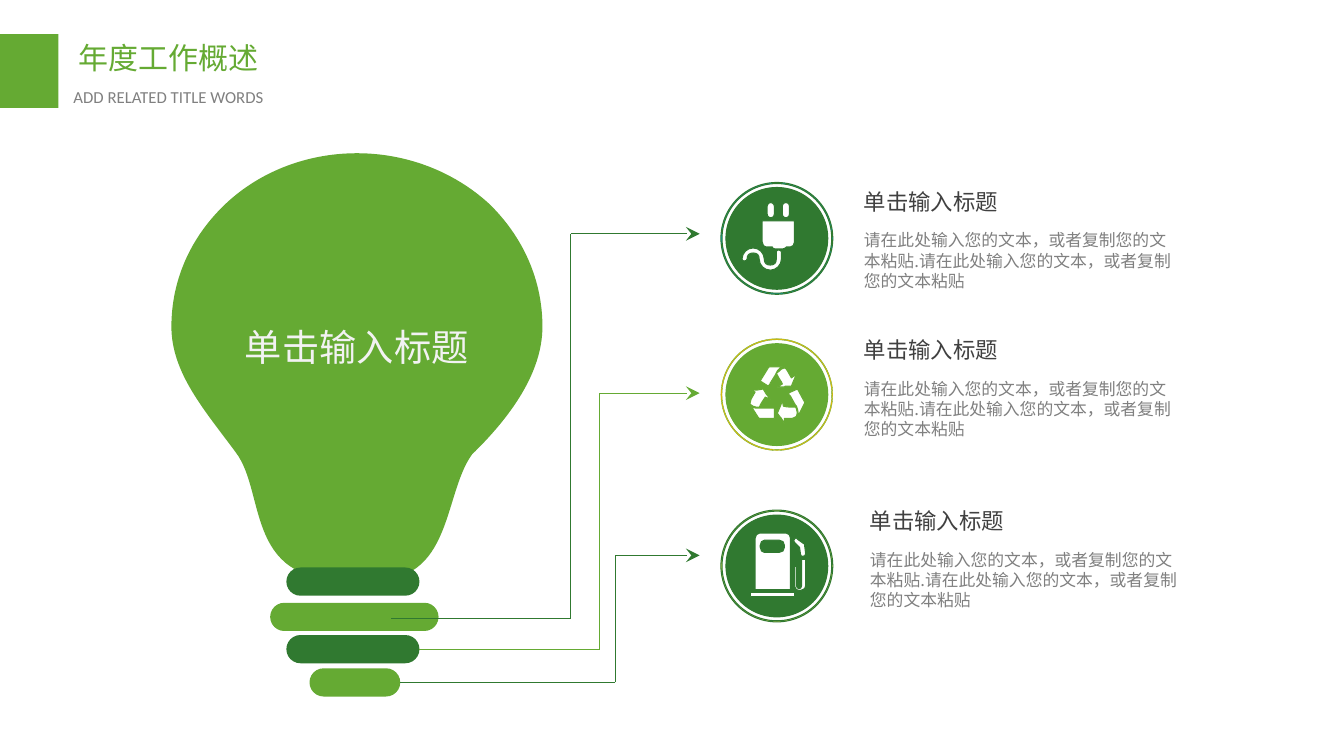
"""Build the light-bulb overview slide with three linked topics."""
from lxml import etree
from pptx import Presentation
from pptx.dml.color import RGBColor
from pptx.enum.shapes import MSO_CONNECTOR, MSO_SHAPE
from pptx.enum.text import MSO_ANCHOR, MSO_AUTO_SIZE, PP_ALIGN
from pptx.oxml.ns import qn
from pptx.util import Inches, Pt

LIME = RGBColor(0x65, 0xAA, 0x33)
GREEN = RGBColor(0x30, 0x79, 0x30)
WHITE = RGBColor(0xFF, 0xFF, 0xFF)
PALE = RGBColor(0xF2, 0xF2, 0xF2)
DARK = RGBColor(0x40, 0x40, 0x40)
GREY = RGBColor(0x80, 0x80, 0x80)
CYAN = RGBColor(0x00, 0xB0, 0xF0)
AMBER = RGBColor(0xFF, 0xC0, 0x00)
YELLOW = RGBColor(0xEA, 0xE0, 0x5E)
CJK = "Noto Sans CJK SC"

HEADING = "单击输入标题"
BODY = "请在此处输入您的文本，或者复制您的文本粘贴.请在此处输入您的文本，或者复制您的文本粘贴"

BULB = [[(0, 172), (0, 126, 19, 83, 54, 50), (88, 18, 135, 0, 184, 0),
         (233, 0, 280, 18, 315, 50), (349, 83, 368, 126, 368, 172),
         (368, 218, 336, 262, 298, 299), (268, 341, 280, 435, 186, 422),
         (71, 433, 95, 338, 64, 297), (33, 255, 0, 218, 0, 172)]]
PLUG_BODY = [[(41, 38), (73, 38), (73, 59), (73, 62, 71, 64, 69, 64), (65, 64),
              (64, 65, 63, 66, 61, 66), (54, 66), (52, 66, 51, 65, 51, 64), (45, 64),
              (43, 64, 41, 62, 41, 59)]]
PLUG_CORD = [[(57, 67), (56, 67, 55, 68, 55, 69), (55, 76), (55, 80, 53, 82, 49, 82),
              (45, 82, 43, 80, 43, 76), (43, 70, 38, 65, 32, 65), (26, 65, 21, 70, 21, 76),
              (21, 77, 22, 78, 23, 78), (25, 78, 26, 77, 26, 76), (26, 72, 28, 70, 32, 70),
              (36, 70, 38, 72, 38, 76), (38, 82, 43, 87, 49, 87), (55, 87, 60, 82, 60, 76),
              (60, 69), (60, 68, 59, 67, 57, 67)]]
RECYCLE = [
    [(72, 42), (70, 47), (64, 47), (63, 48), (56, 48), (61, 45), (60, 42, 57, 39, 56, 36),
     (55, 35), (56, 34, 56, 33, 57, 33), (59, 31, 61, 29, 63, 29),
     (64, 29, 65, 30, 66, 32), (70, 39), (75, 35)],
    [(56, 32), (57, 30, 59, 29, 61, 28), (48, 28), (47, 29), (39, 42), (47, 47),
     (48, 46, 49, 45, 49, 44), (54, 36), (55, 34)],
    [(63, 84), (63, 79), (71, 79), (73, 78, 74, 78, 75, 77), (76, 75, 76, 72, 75, 70),
     (75, 69, 74, 68, 74, 68), (72, 68), (69, 68, 66, 68, 62, 67), (61, 62), (59, 67),
     (56, 74), (59, 78), (60, 79)],
    [(76, 70), (76, 71, 77, 74, 77, 76), (83, 64), (83, 63), (76, 50), (67, 54),
     (67, 55, 68, 56, 69, 57), (74, 66), (75, 67)],
    [(29, 51), (34, 53), (30, 60), (29, 63, 29, 64, 29, 65), (30, 67, 33, 67, 35, 68),
     (38, 68), (38, 68, 39, 67, 39, 66), (40, 64, 42, 61, 44, 58), (49, 60), (45, 55),
     (42, 50), (36, 51)],
    [(35, 69), (33, 69, 31, 68, 30, 67), (37, 78), (38, 79), (53, 79), (53, 69)]]
NOZZLE = [[(83, 35), (83, 34), (76, 29), (75, 27, 74, 27, 73, 29), (72, 30, 72, 31, 73, 32),
           (78, 37), (79, 44), (79, 45, 80, 46, 81, 46), (83, 46, 84, 45, 84, 43)]]
HOSE = [[(80, 49), (80, 75), (80, 77, 79, 78, 78, 78), (76, 78, 75, 77, 75, 75), (75, 56),
         (73, 56), (73, 75), (73, 78, 75, 80, 78, 80), (81, 80, 84, 78, 84, 75), (84, 49)]]
TANK = [[(65, 23), (38, 23), (36, 23, 34, 25, 34, 28), (34, 79), (69, 79), (69, 28),
         (69, 25, 67, 23, 65, 23)],
        [(39, 35), (39, 32, 41, 30, 43, 30), (58, 30), (61, 30, 63, 32, 63, 35), (63, 37),
         (63, 40, 61, 42, 58, 42), (43, 42), (41, 42, 39, 40, 39, 37)]]


def paint(sp, fill, line=None, width=0.75):
    """Give a shape a flat fill and an optional outline."""
    sp.shadow.inherit = False
    sp.fill.solid()
    sp.fill.fore_color.rgb = fill
    if line is None:
        sp.line.fill.background()
    else:
        sp.line.color.rgb = line
        sp.line.width = Pt(width)
    return sp


def add_preset(s, kind, x, y, w, h, fill, line=None, adj=None, width=0.75):
    """Add a painted preset shape."""
    sp = s.shapes.add_shape(kind, Inches(x), Inches(y), Inches(w), Inches(h))
    if adj is not None:
        sp.adjustments[0] = adj
    return paint(sp, fill, line, width)


def bend_curves(sp, contours):
    """Merge the three points of every six-number segment into a Bézier curve."""
    nodes = iter(list(sp._element.find(".//" + qn("a:path"))))
    for contour in contours:
        next(nodes)
        for seg in contour[1:]:
            node = next(nodes)
            if len(seg) == 6:
                node.tag = qn("a:cubicBezTo")
                for _ in range(2):
                    extra = next(nodes)
                    node.append(extra[0])
                    extra.getparent().remove(extra)
        next(nodes)


def add_outline(s, contours, x, y, fill, line=None):
    """Add a freeform measured in hundredths of an inch from x, y; sixes are curves."""
    first, *rest = [[(Inches(x + seg[i] / 100), Inches(y + seg[i + 1] / 100))
                     for seg in contour for i in range(0, len(seg), 2)] for contour in contours]
    fb = s.shapes.build_freeform(*first[0])
    fb.add_line_segments(first[1:])
    for pts in rest:
        fb.move_to(*pts[0])
        fb.add_line_segments(pts[1:])
    sp = fb.convert_to_shape()
    bend_curves(sp, contours)
    return paint(sp, fill, line)


def add_text(tf, text, size, color, font=CJK, align=None, spacing=None, around=None):
    """Write one formatted paragraph into a text frame."""
    p = tf.paragraphs[0] if not tf.text else tf.add_paragraph()
    p.alignment, p.line_spacing = align, spacing
    if around is not None:
        p.space_before = p.space_after = Pt(around)
    r = p.add_run()
    r.text = text
    r.font.size, r.font.name = Pt(size), font
    r.font.color.rgb = color
    etree.SubElement(r.font._element, qn("a:ea")).set("typeface", font)


def add_box(s, x, y, w, h):
    """Add a wrapping text box and return its text frame."""
    tf = s.shapes.add_textbox(Inches(x), Inches(y), Inches(w), Inches(h)).text_frame
    tf.word_wrap = True
    tf.auto_size = MSO_AUTO_SIZE.SHAPE_TO_FIT_TEXT
    return tf


def add_header(s, x, y):
    """Place the title band."""
    add_preset(s, MSO_SHAPE.RECTANGLE, x, y, 0.58, 0.73, LIME)
    add_text(add_box(s, x + 0.68, y, 2.68, 0.46), "年度工作概述", 21.4, LIME,
             align=PP_ALIGN.JUSTIFY)
    add_text(add_box(s, x + 0.63, y + 0.47, 2.97, 0.3), "ADD RELATED TITLE WORDS", 12, GREY,
             font="Calibri", align=PP_ALIGN.JUSTIFY)


def add_bulb(s, x, y):
    """Place the bulb and its screw base, and return the base bars."""
    tf = add_outline(s, BULB, x, y, LIME).text_frame
    tf.word_wrap = True
    tf.vertical_anchor = MSO_ANCHOR.MIDDLE
    tf.margin_bottom = Inches(0.65)
    add_text(tf, HEADING, 26.6, PALE, align=PP_ALIGN.CENTER, spacing=1.2)
    bars = ((1.14, 4.11, 1.32, GREEN), (0.98, 4.46, 1.67, LIME),
            (1.14, 4.78, 1.32, GREEN), (1.37, 5.11, 0.9, LIME))
    return [add_preset(s, MSO_SHAPE.ROUNDED_RECTANGLE, x + dx, y + dy, w, 0.28, color, adj=0.5)
            for dx, dy, w, color in bars]


def add_route(s, start, bend, end, color, bar=None):
    """Draw a three-part route that ends in an arrow."""
    pts = [start, (bend, start[1]), (bend, end[1]), end]
    for i, (a, b) in enumerate(zip(pts, pts[1:])):
        cx = s.shapes.add_connector(MSO_CONNECTOR.STRAIGHT, *map(Inches, a + b))
        cx.line.color.rgb = color
        cx.line.width = Pt(0.75)
        if i == 0 and bar is not None:
            cx.begin_connect(bar, 3)
        if i == 2:
            tail = etree.SubElement(cx.line._get_or_add_ln(), qn("a:tailEnd"))
            for key, value in (("type", "stealth"), ("w", "lg"), ("len", "lg")):
                tail.set(key, value)
        etree.SubElement(cx._element.spPr, qn("a:effectLst"))


def add_badge(s, x, y, color, rim, glyphs, width=0.75):
    """Place a ringed disc with its glyph outlines."""
    add_preset(s, MSO_SHAPE.DONUT, x, y, 1.11, 1.11, rim, color, 0.01, width)
    add_preset(s, MSO_SHAPE.OVAL, x + 0.05, y + 0.05, 1.01, 1.01, color, color)
    for glyph in glyphs:
        add_outline(s, glyph, x, y, WHITE, color)


def add_topic(s, x, y):
    """Place a topic heading and its body text."""
    tf = add_box(s, x, y, 3.25, 1.7)
    add_text(tf, HEADING, 16, DARK, spacing=1.2)
    add_text(tf, BODY, 12, GREY, around=11.2)


def main():
    """Build and save the slide."""
    prs = Presentation()
    prs.slide_width, prs.slide_height = Inches(13.33), Inches(7.5)
    s = prs.slides.add_slide(prs.slide_layouts[6])
    add_header(s, 0, 0.34)
    bars = add_bulb(s, 1.7, 1.52)
    add_route(s, (4.16, 6.44), 5.95, (6.94, 3.9), LIME, bars[2])
    add_route(s, (3.97, 6.77), 6.1, (6.94, 5.51), GREEN, bars[3])
    add_route(s, (3.88, 6.14), 5.66, (6.94, 2.32), GREEN)
    add_badge(s, 7.15, 1.81, GREEN, CYAN, [PLUG_BODY, PLUG_CORD])
    for dx in (0.46, 0.61):
        add_preset(s, MSO_SHAPE.ROUNDED_RECTANGLE, 7.15 + dx, 2.01, 0.07, 0.15, WHITE, GREEN, 0.5)
    add_badge(s, 7.15, 3.36, LIME, AMBER, [RECYCLE], width=0.25)
    add_badge(s, 7.15, 5.06, GREEN, YELLOW, [NOZZLE, HOSE, TANK])
    add_preset(s, MSO_SHAPE.RECTANGLE, 7.44, 5.88, 0.44, 0.04, WHITE, GREEN)
    for x, y in ((8.47, 1.76), (8.47, 3.23), (8.53, 4.93)):
        add_topic(s, x, y)
    prs.save("out.pptx")


if __name__ == "__main__":
    main()
